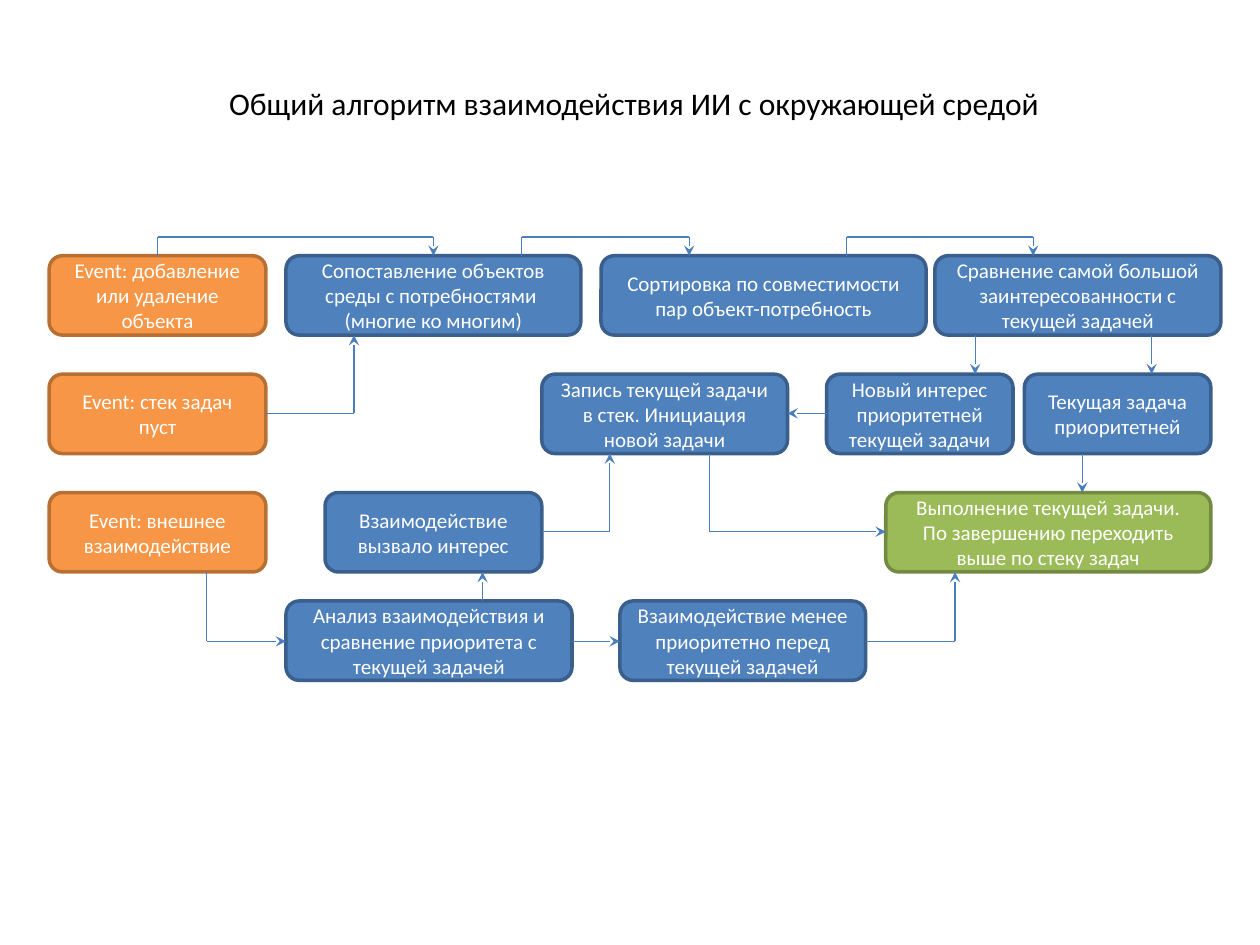
from itertools import pairwise

from lxml.etree import SubElement
from pptx import Presentation
from pptx.dml.color import RGBColor
from pptx.enum.shapes import MSO_CONNECTOR as Line, MSO_SHAPE as Shape
from pptx.enum.text import MSO_ANCHOR as Anchor, PP_ALIGN as Align
from pptx.oxml.ns import qn
from pptx.util import Inches, Pt

EVENT = ("F79646", "B76F34")
ACTION = ("4F81BD", "3A5F8C")
RESULT = ("9BBB59", "738A42")
ROUTE = "4B7EBC"
STEP_HEIGHT = 0.63
ROW_TOPS = (0, 0.94, 1.88, 2.74)
ROW_MIDDLES = [round(top + STEP_HEIGHT / 2, 2) for top in ROW_TOPS]
ROW_BOTTOMS = [round(top + STEP_HEIGHT, 2) for top in ROW_TOPS]
BRIDGE = -0.15

STEPS = [
    (0, 0, 1.72, EVENT, "Event: добавление или удаление объекта"),
    (0, 1.88, 2.34, ACTION,
     "Сопоставление объектов среды с потребностями \n(многие ко многим)"),
    (0, 4.38, 2.58, ACTION, "Сортировка по совместимости пар объект-потребность"),
    (0, 7.03, 2.27, ACTION,
     "Сравнение самой большой заинтересованности с текущей задачей"),
    (1, 0, 1.72, EVENT, "Event: стек задач пуст"),
    (1, 3.91, 1.95, ACTION, "Запись текущей задачи в стек. Инициация новой задачи"),
    (1, 6.17, 1.48, ACTION, "Новый интерес приоритетней текущей задачи"),
    (1, 7.74, 1.48, ACTION, "Текущая задача приоритетней"),
    (2, 0, 1.72, EVENT, "Event: внешнее взаимодействие"),
    (2, 2.19, 1.72, ACTION, "Взаимодействие вызвало интерес"),
    (2, 6.64, 2.58, RESULT,
     "Выполнение текущей задачи. По завершению переходить выше по стеку задач"),
    (3, 1.88, 2.27, ACTION,
     "Анализ взаимодействия и сравнение приоритета с текущей задачей"),
    (3, 4.53, 1.95, ACTION, "Взаимодействие менее приоритетно перед текущей задачей"),
]

BRIDGES = [(0.86, 3.05), (3.75, 5.08), (6.33, 7.81)]
ROUTES = [
    *[[(start, 0), (start, BRIDGE), (end, BRIDGE), (end, 0)] for start, end in BRIDGES],
    [(7.35, ROW_BOTTOMS[0]), (7.35, ROW_TOPS[1])],
    [(8.75, ROW_BOTTOMS[0]), (8.75, ROW_TOPS[1])],
    [(6.17, ROW_MIDDLES[1]), (5.86, ROW_MIDDLES[1])],
    [(8.2, ROW_BOTTOMS[1]), (8.2, ROW_TOPS[2])],
    [(5.24, ROW_BOTTOMS[1]), (5.24, ROW_MIDDLES[2]), (6.64, ROW_MIDDLES[2])],
    [(1.72, ROW_MIDDLES[1]), (2.42, ROW_MIDDLES[1]), (2.42, ROW_BOTTOMS[0])],
    [(6.48, ROW_MIDDLES[3]), (7.19, ROW_MIDDLES[3]), (7.19, ROW_BOTTOMS[2])],
    [(1.25, ROW_BOTTOMS[2]), (1.25, ROW_MIDDLES[3]), (1.88, ROW_MIDDLES[3])],
    [(3.44, ROW_TOPS[3]), (3.44, ROW_BOTTOMS[2])],
    [(4.15, ROW_MIDDLES[3]), (4.53, ROW_MIDDLES[3])],
    [(3.91, ROW_MIDDLES[2]), (4.45, ROW_MIDDLES[2]), (4.45, ROW_BOTTOMS[1])],
]


def color(value):
    """Turn a hex string into a colour."""
    return RGBColor.from_string(value)


def apply(target, formats):
    """Set each attribute named in a dict of format values."""
    for attribute, value in formats.items():
        setattr(target, attribute, value)


def write(frame, text, size, ink, align):
    """Fill a text frame with uniformly formatted paragraphs."""
    frame.word_wrap = True
    frame.text = text
    for paragraph in frame.paragraphs:
        paragraph.alignment = align
        apply(paragraph.font, {"name": "Calibri", "size": Pt(size)})
        paragraph.font.color.rgb = color(ink)


def add_title(slide, box):
    """Place the heading in its box."""
    heading = slide.shapes.add_textbox(*map(Inches, box))
    write(heading.text_frame, "Общий алгоритм взаимодействия ИИ с окружающей средой",
          18, "000000", Align.LEFT)


def add_step(slide, box, palette, text):
    """Draw one rounded step of the algorithm."""
    step = slide.shapes.add_shape(Shape.ROUNDED_RECTANGLE, *map(Inches, box))
    fill, border = palette
    step.shadow.inherit = False
    step.fill.solid()
    step.fill.fore_color.rgb = color(fill)
    step.line.color.rgb = color(border)
    step.line.width = Pt(2)
    step.text_frame.vertical_anchor = Anchor.MIDDLE
    write(step.text_frame, text, 12, "FFFFFF", Align.CENTER)


def add_route(slide, origin, points):
    """Draw straight segments through the points, ending in an arrowhead."""
    left, top = origin
    corners = [(Inches(left + x), Inches(top + y)) for x, y in points]
    for start, end in pairwise(corners):
        segment = slide.shapes.add_connector(Line.STRAIGHT, *start, *end)
        segment.line.color.rgb = color(ROUTE)
        segment.line.width = Pt(0.75)
        SubElement(segment.element.spPr, qn("a:effectLst"))
    SubElement(segment.line._get_or_add_ln(), qn("a:tailEnd"), type="stealth")


def add_flowchart(slide, origin):
    """Place all steps and routes relative to the top left corner."""
    left, top = origin
    for row, x, width, palette, text in STEPS:
        box = (left + x, top + ROW_TOPS[row], width, STEP_HEIGHT)
        add_step(slide, box, palette, text)
    for points in ROUTES:
        add_route(slide, origin, points)


def main():
    """Build and save the slide."""
    deck = Presentation()
    apply(deck, {"slide_width": Inches(10), "slide_height": Inches(7.5)})
    slide = deck.slides.add_slide(deck.slide_layouts[6])
    add_flowchart(slide, (0.39, 2.03))
    add_title(slide, (1.72, 0.62, 6.72, 0.4))
    deck.save("out.pptx")


if __name__ == "__main__":
    main()
